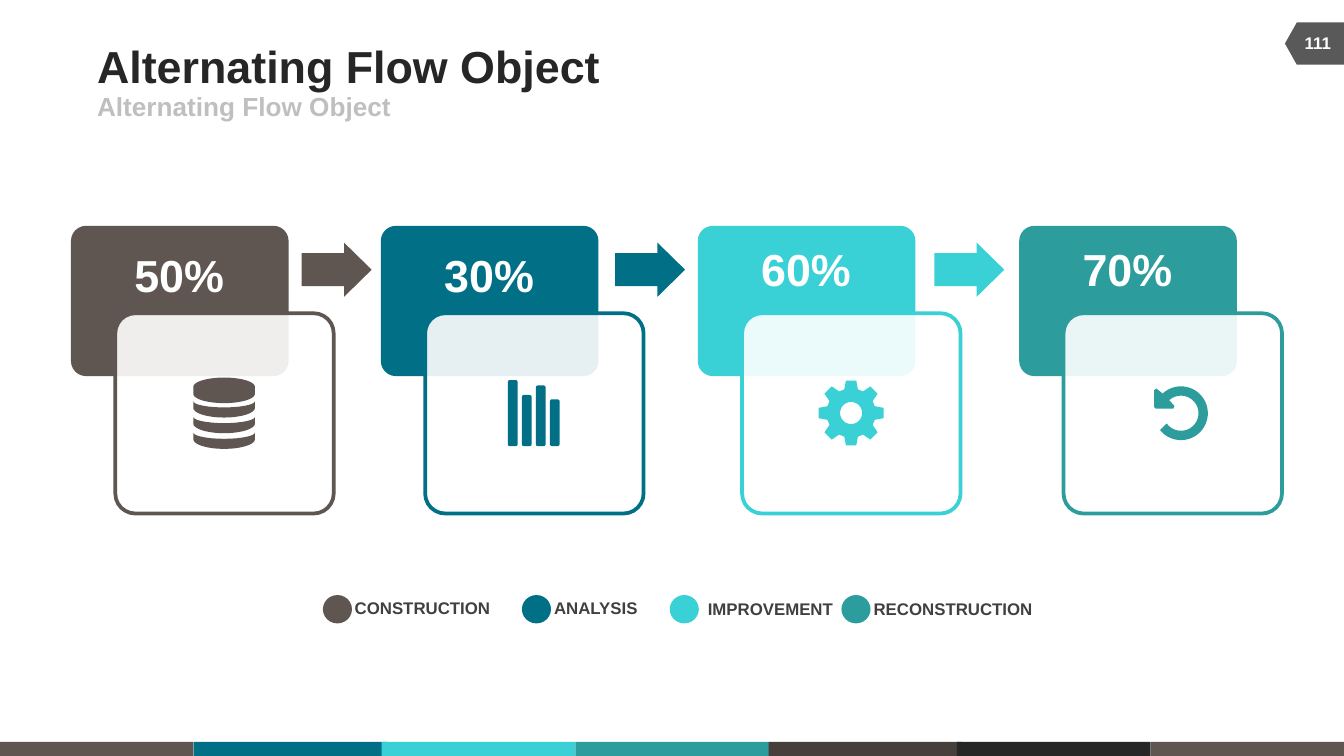
from dataclasses import dataclass
from math import cos, radians, sin

from lxml import etree
from pptx import Presentation
from pptx import util as u
from pptx.dml.color import RGBColor
from pptx.enum import shapes, text
from pptx.oxml.ns import qn

KIND = shapes.MSO_SHAPE
ALIGN = text.PP_ALIGN
MID = text.MSO_ANCHOR.MIDDLE
BROWN, BLUE, AQUA, TEAL = "5F5551", "016F86", "39D0D6", "2D9C9C"
WHITE = "FFFFFF"


@dataclass
class Step:
    left: float
    color: str
    value: str
    top: float


@dataclass
class Key:
    dot: float
    left: float
    top: float
    width: float
    color: str
    label: str


STEPS = [
    Step(38, BROWN, "50%", 132.5),
    Step(204, BLUE, "30%", 132.5),
    Step(373.8, AQUA, "60%", 129.6),
    Step(546, TEAL, "70%", 129.6),
]
ARROWS = [161.6, 329.5, 500.5]
KEYS = [
    Key(173, 190, 320.4, 73.4, BROWN, "CONSTRUCTION"),
    Key(279.6, 296.8, 320.4, 46, BLUE, "ANALYSIS"),
    Key(358.8, 379.2, 321, 67.7, AQUA, "IMPROVEMENT"),
    Key(450.8, 468, 321, 85.7, TEAL, "RECONSTRUCTION"),
]
STRIPES = [(0, BROWN), (103.7, BLUE), (204.5, AQUA), (308.2, TEAL),
           (411.8, "473F3C"), (512.6, "262626"), (616.3, BROWN)]
BARS = [203.6, 211.6, 206.5, 214]


def rgb(code: str) -> RGBColor:
    return RGBColor.from_string(code)


def place(shape, left: float, top: float, width: float, height: float):
    shape.left, shape.top = u.Pt(left), u.Pt(top)
    shape.width, shape.height = u.Pt(width), u.Pt(height)


def paint(shape, color: str, line: str = ""):
    shape.shadow.inherit = False
    shape.fill.solid()
    shape.fill.fore_color.rgb = rgb(color)
    if line:
        shape.line.color.rgb = rgb(line)
        shape.line.width = u.Pt(2)
    else:
        shape.line.fill.background()


def draw(slide, kind, left: float, top: float, width: float, height: float,
         color: str, line: str = "", adjust: tuple = ()):
    shape = slide.shapes.add_shape(
        kind, u.Pt(left), u.Pt(top), u.Pt(width), u.Pt(height))
    for i, ratio in enumerate(adjust):
        shape.adjustments[i] = ratio
    paint(shape, color, line)
    return shape


def trace(slide, rings: list, color: str):
    """Draw closed outlines, given in points, as one shape."""
    first, *rest = [[(u.Pt(x), u.Pt(y)) for x, y in ring] for ring in rings]
    pen = slide.shapes.build_freeform(*first[0])
    pen.add_line_segments(first[1:])
    for ring in rest:
        pen.move_to(*ring[0])
        pen.add_line_segments(ring[1:])
    paint(pen.convert_to_shape(), color)


def arc(x: float, y: float, wide: float, high: float, start: int, end: int) -> list:
    turn = 6 if end > start else -6
    angles = [*range(start, end, turn), end]
    return [(x + wide * cos(radians(a)), y + high * sin(radians(a))) for a in angles]


def write(box, words: str, *, size: float, color: str,
          align=ALIGN.LEFT, anchor=text.MSO_ANCHOR.TOP):
    frame = box.text_frame
    frame.auto_size = text.MSO_AUTO_SIZE.NONE
    frame.word_wrap = False
    frame.vertical_anchor = anchor
    frame.margin_left = frame.margin_right = 0
    frame.margin_top = frame.margin_bottom = 0
    para = frame.paragraphs[0]
    para.alignment = align
    para.space_before = u.Pt(0)
    run = para.add_run()
    run.text = words
    run.font.name, run.font.size, run.font.bold = "Arial", u.Pt(size), True
    run.font.color.rgb = rgb(color)


def label(slide, words: str, left: float, top: float, width: float, height: float, **style):
    box = slide.shapes.add_textbox(
        u.Pt(left), u.Pt(top), u.Pt(width), u.Pt(height))
    write(box, words, **style)


def stack(slide, color: str):
    """Database icon: a disc above three curved bands."""
    x, wide = 120.1, 16.5
    rings = [arc(x, 207.3, wide, 5, 180, 360) + arc(x, 211, wide, 5, 0, 180)]
    for i in range(3):
        top = 214.9 + 8.4 * i
        rings.append(arc(x, top, wide, 3.4, 180, 0)
                     + arc(x, top + 3.6, wide, 5.2, 0, 180))
    trace(slide, rings, color)


def chart(slide, color: str):
    """Bar icon."""
    for i, top in enumerate(BARS):
        draw(slide, KIND.ROUNDED_RECTANGLE, 272.1 + 7.5 * i, top, 5.2, 239 - top,
             color, adjust=(0.2,))


def gear(slide, color: str):
    """Gear icon: eight teeth and a round hole."""
    x, y = 456, 221.3
    rim = []
    for mid in range(0, 360, 45):
        for turn, reach in ((-16, 13.2), (-9, 17.6), (9, 17.6), (16, 13.2)):
            angle = radians(mid + turn)
            rim.append((x + reach * cos(angle), y + reach * sin(angle)))
    trace(slide, [rim, arc(x, y, 5.9, 5.9, 0, 360)], color)


def undo(slide, color: str):
    """Turning arrow icon."""
    x, y = 632.7, 221.4
    head = [(629.2, 217.5), (628.7, 218.9), (619.2, 218.9), (618.3, 218),
            (618.3, 209), (619.6, 208.2)]
    ring = arc(x, y, 14.4, 14.4, -133, 141) + arc(x, y, 9.4, 9.4, 144, -132)
    trace(slide, [ring + head], color)


def card(slide, step: Step):
    draw(slide, KIND.ROUNDED_RECTANGLE, step.left, 121, 116.6, 80.5,
         step.color, adjust=(0.1,))
    front = draw(slide, KIND.ROUNDED_RECTANGLE, step.left + 23.8, 167.8, 117, 107.3,
                 WHITE, step.color, (0.1,))
    tint = front.element.spPr.find(qn("a:solidFill"))[0]
    etree.SubElement(tint, qn("a:alpha")).set("val", "90000")
    label(slide, step.value, step.left + 34, step.top, 48, 28.8, size=24,
          color=WHITE, align=ALIGN.CENTER, anchor=text.MSO_ANCHOR.BOTTOM)


def main():
    deck = Presentation()
    deck.slide_width, deck.slide_height = u.Pt(720), u.Pt(405)
    slide = deck.slides.add_slide(deck.slide_layouts[1])

    # Title and subtitle
    title, body = slide.placeholders
    place(title, 52, 21, 444, 28)
    write(title, "Alternating Flow Object", size=24, color="262626", anchor=MID)
    place(body, 52, 49, 324, 16)
    props = body.text_frame.paragraphs[0]._p.get_or_add_pPr()
    props.set("marL", "0")
    props.set("indent", "0")
    etree.SubElement(props, qn("a:buNone"))
    write(body, "Alternating Flow Object", size=14, color="BFBFBF", anchor=MID)

    # Bottom stripes
    for left, color in STRIPES:
        draw(slide, KIND.RECTANGLE, left, 397.5, 103.7, 7.5, color)

    # Page badge
    badge = draw(slide, KIND.FLOWCHART_OFFPAGE_CONNECTOR, 692.9, 7.5, 22.6, 31.7, "595959")
    badge.rotation = 90
    label(slide, "111", 692, 12.2, 28, 21.6, size=9, color=WHITE,
          align=ALIGN.CENTER, anchor=MID)

    # Cards, arrows and icons
    for step in STEPS:
        card(slide, step)
    for left, step in zip(ARROWS, STEPS):
        draw(slide, KIND.RIGHT_ARROW, left, 130, 37.5, 29, step.color, adjust=(0.61, 0.51))
    for icon, step in zip((stack, chart, gear, undo), STEPS):
        icon(slide, step.color)

    # Legend
    for key in KEYS:
        draw(slide, KIND.OVAL, key.dot, 318.8, 15.6, 15.2, key.color)
        label(slide, key.label, key.left, key.top, key.width, 10.8, size=9, color="404040")

    deck.save("out.pptx")


if __name__ == "__main__":
    main()
